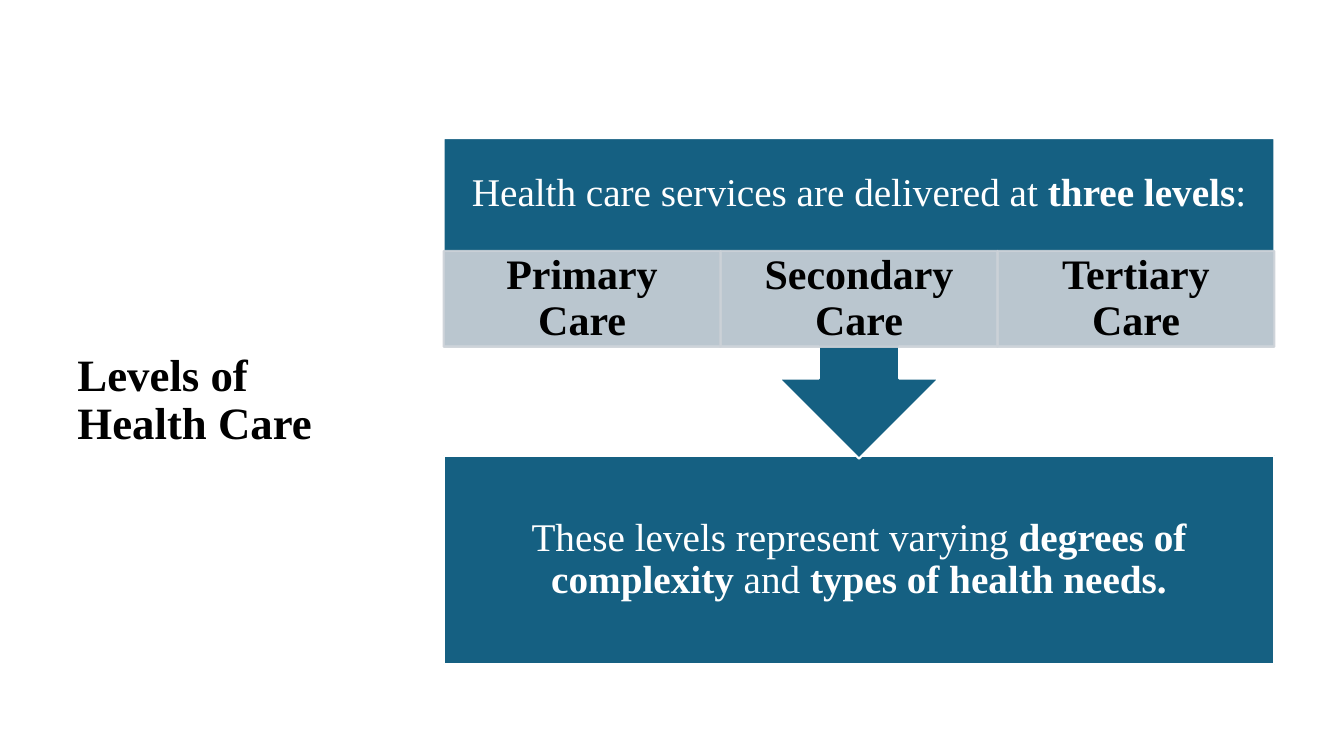
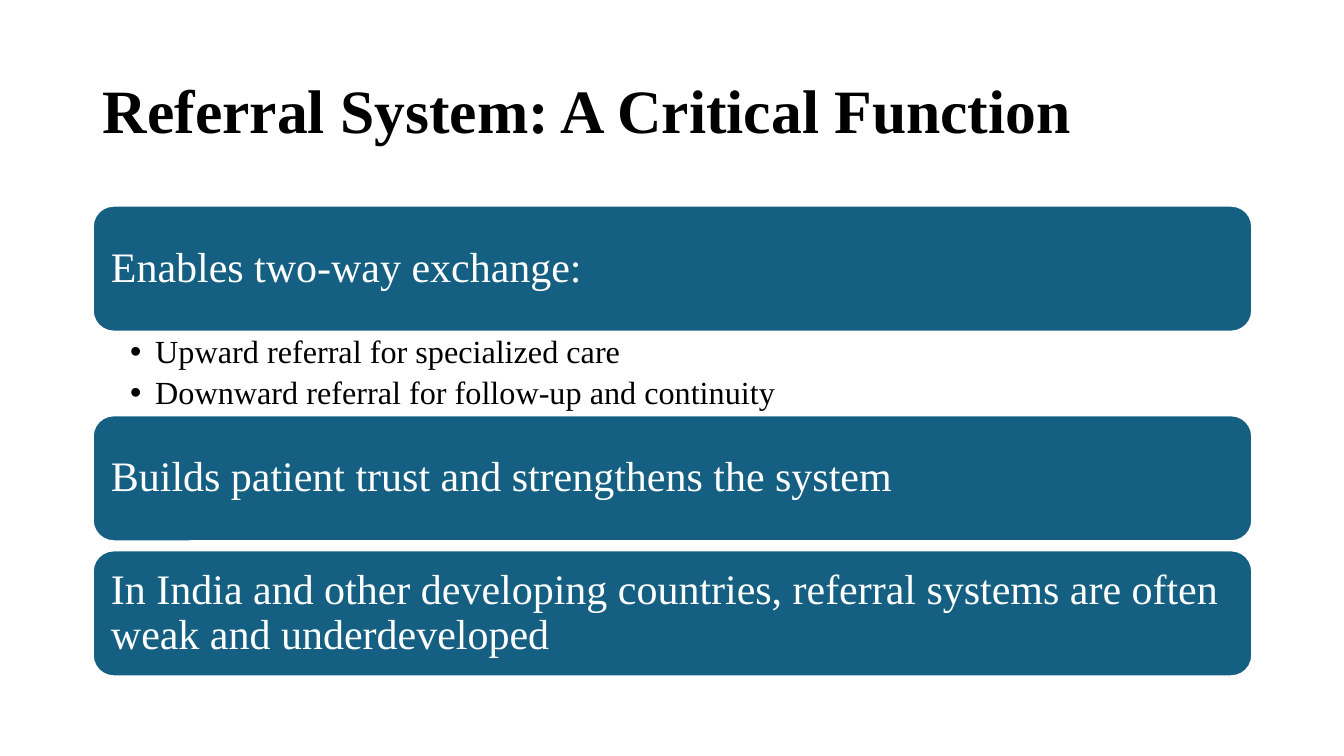
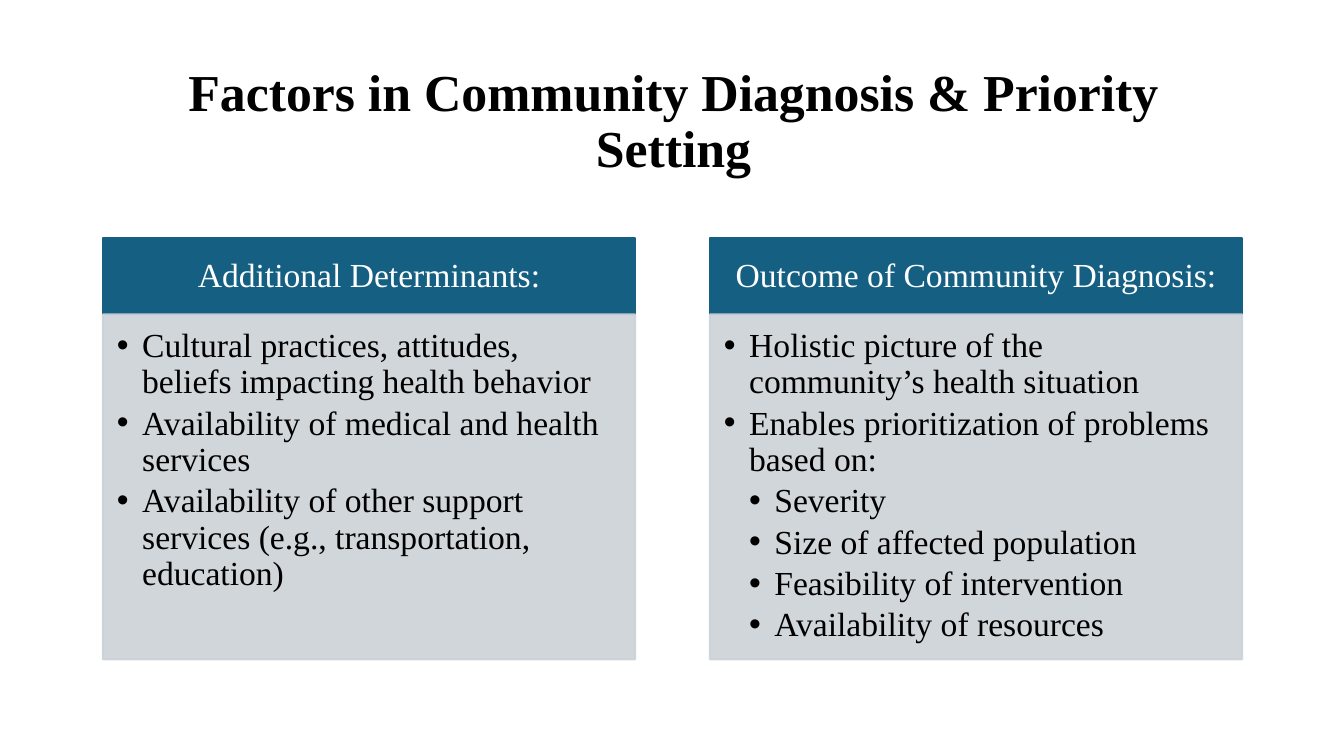
from pptx import Presentation
from pptx.dml.color import RGBColor
from pptx.enum.shapes import MSO_SHAPE as SHAPE
from pptx.enum.text import MSO_ANCHOR as ANCHOR, PP_ALIGN as ALIGN
from pptx.oxml.ns import qn
from pptx.util import Inches, Pt
from lxml.etree import SubElement

COLORS = {"teal": "156082", "mist": "CCD2D8", "white": "FFFFFF", "black": "000000"}
FONT = "Times New Roman"
LINE_SPACING = 0.9
BULLET_STEP = 0.25
MIST_OPACITY = 90

# Text between ** marks is bold.
LEVELS_TITLE = "Levels of Health Care"
LEVELS_INTRO = "Health care services are delivered at **three levels**:"
LEVELS = ["Primary Care", "Secondary Care", "Tertiary Care"]
LEVELS_MEANING = ("These levels represent varying **degrees of complexity** and "
                  "**types of health needs.**")

REFERRAL_TITLE = "Referral System: A Critical Function"
REFERRAL_POINTS = [
    ("Enables two-way exchange:", 2.04),
    ("Builds patient trust and strengthens the system", 4.12),
    ("In India and other developing countries, referral systems are often "
     "weak and underdeveloped", 5.46),
]
REFERRAL_WAYS = [
    (1, "Upward referral for specialized care"),
    (1, "Downward referral for follow-up and continuity"),
]

FACTORS_TITLE = "Factors in Community Diagnosis & Priority Setting"
FACTORS = [
    ("Additional Determinants:", [
        (1, "Cultural practices, attitudes, beliefs impacting health behavior"),
        (1, "Availability of medical and health services"),
        (1, "Availability of other support services (e.g., transportation, education)"),
    ]),
    ("Outcome of Community Diagnosis:", [
        (1, "Holistic picture of the community’s health situation"),
        (1, "Enables prioritization of problems based on:"),
        (2, "Severity"),
        (2, "Size of affected population"),
        (2, "Feasibility of intervention"),
        (2, "Availability of resources"),
    ]),
]


def rgb(name):
    return RGBColor.from_string(COLORS[name])


def set_bullet(paragraph, level):
    properties = paragraph._p.get_or_add_pPr()
    properties.set("marL", str(Inches(BULLET_STEP * level)))
    properties.set("indent", str(-Inches(BULLET_STEP)))
    SubElement(properties, qn("a:buFont"), typeface="Arial")
    SubElement(properties, qn("a:buChar"), char="•")


def write(shape, items, size, color, insets=(0.1, 0.05, 0.1, 0.05), bold=False,
          align=ALIGN.LEFT, anchor=ANCHOR.MIDDLE, gap=0):
    """Fill a shape with (level, text) items; level 0 has no bullet."""
    frame = shape.text_frame
    frame.word_wrap = True
    frame.vertical_anchor = anchor
    for side, inset in zip(("left", "top", "right", "bottom"), insets):
        setattr(frame, f"margin_{side}", Inches(inset))
    for index, (level, text) in enumerate(items):
        paragraph = frame.add_paragraph() if index else frame.paragraphs[0]
        paragraph.line_spacing = LINE_SPACING
        paragraph.space_after = Pt(gap)
        if level:
            set_bullet(paragraph, level)
        paragraph.alignment = align
        for part, piece in enumerate(text.split("**")):
            if not piece:
                continue
            run = paragraph.add_run()
            run.text = piece
            style = {"name": FONT, "size": Pt(size), "bold": bold or part % 2 == 1}
            for attribute, value in style.items():
                setattr(run.font, attribute, value)
            run.font.color.rgb = rgb(color)


def add_text(slide, at, items, size, **style):
    box = slide.shapes.add_textbox(*map(Inches, at))
    write(box, items, size, "black", **style)


def add_title(slide, at, text, size, align=ALIGN.LEFT):
    add_text(slide, at, [(0, text)], size, bold=True, align=align)


def add_panel(slide, kind, at, items, size, fill="teal", line="white", **style):
    panel = slide.shapes.add_shape(kind, *map(Inches, at))
    panel.shadow.inherit = False
    panel.fill.solid()
    panel.fill.fore_color.rgb = rgb(fill)
    panel.line.color.rgb = rgb(line)
    panel.line.width = Pt(1.5)
    if fill == "mist":
        for color in panel._element.spPr.iter(qn("a:srgbClr")):
            SubElement(color, qn("a:alpha"), val=str(MIST_OPACITY * 1000))
    write(panel, items, size, "white" if fill == "teal" else "black", **style)


def build_levels(slide):
    left, top, width = 4.4, 1.37, 8.24
    add_title(slide, (0.67, top, 3.18, 5.22), LEVELS_TITLE, 32)
    add_panel(slide, SHAPE.RECTANGLE, (left, 4.52, width, 2.07), [(0, LEVELS_MEANING)],
              28, insets=(0.22,) * 4, align=ALIGN.CENTER)
    # The deep bottom inset keeps the intro above the row of levels.
    add_panel(slide, SHAPE.DOWN_ARROW_CALLOUT, (left, top, width, 3.18),
              [(0, LEVELS_INTRO)], 28, insets=(0.22, 0.22, 0.22, 1.18),
              align=ALIGN.CENTER)
    level_width = width / len(LEVELS)
    for index, level in enumerate(LEVELS):
        add_panel(slide, SHAPE.RECTANGLE,
                  (left + index * level_width, 2.49, level_width, 0.95), [(0, level)],
                  30, fill="mist", line="mist", insets=(0.23, 0.04, 0.23, 0.04),
                  bold=True, align=ALIGN.CENTER)


def build_referral(slide):
    left, width = 0.92, 11.5
    add_title(slide, (left, 0.4, width, 1.45), REFERRAL_TITLE, 44)
    for point, top in REFERRAL_POINTS:
        add_panel(slide, SHAPE.ROUNDED_RECTANGLE, (left, top, width, 1.25),
                  [(0, point)], 30, insets=(0.12,) * 4)
    add_text(slide, (left, 3.29, width, 0.83), REFERRAL_WAYS, 23,
             insets=(0.37, 0.04, 0.23, 0.04), anchor=ANCHOR.TOP, gap=4.6)


def build_factors(slide):
    left, top, width, pitch = 1.02, 2.36, 5.28, 6.02
    header_height, body_height = 0.76, 3.42
    add_title(slide, (1.67, 0.6, 10.02, 1.24), FACTORS_TITLE, 37, ALIGN.CENTER)
    for index, (header, factors) in enumerate(FACTORS):
        x = left + index * pitch
        add_panel(slide, SHAPE.RECTANGLE, (x, top, width, header_height), [(0, header)],
                  24, line="teal", insets=(0.19, 0.11, 0.19, 0.11), align=ALIGN.CENTER)
        add_panel(slide, SHAPE.RECTANGLE, (x, top + header_height, width, body_height),
                  factors, 24, fill="mist", line="mist",
                  insets=(0.14, 0.14, 0.19, 0.21), anchor=ANCHOR.TOP, gap=3.6)


def main():
    deck = Presentation()
    deck.slide_width, deck.slide_height = Inches(13.33), Inches(7.5)
    blank = deck.slide_layouts[6]
    for build in (build_levels, build_referral, build_factors):
        build(deck.slides.add_slide(blank))
    deck.save("out.pptx")


if __name__ == "__main__":
    main()
